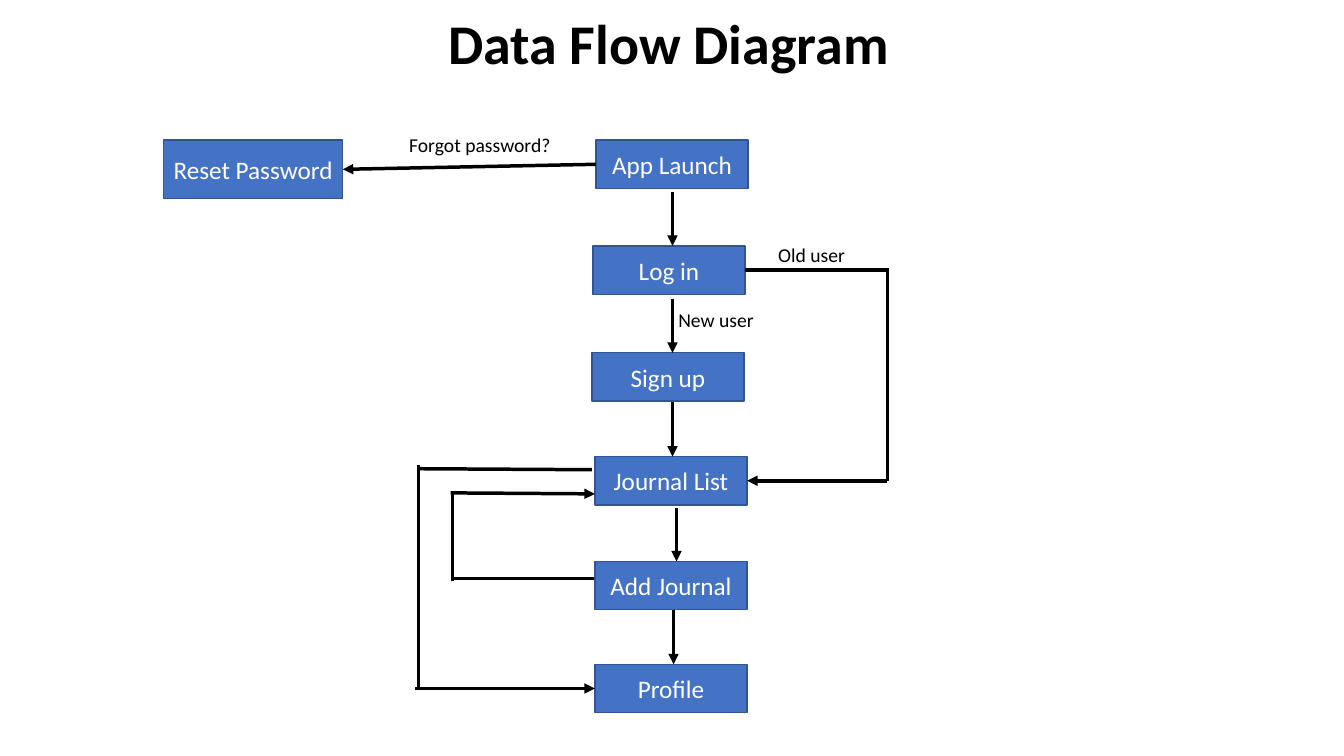
from lxml import etree
from pptx import Presentation
from pptx.dml.color import RGBColor
from pptx.enum.shapes import MSO_CONNECTOR, MSO_SHAPE
from pptx.enum.text import MSO_ANCHOR, MSO_AUTO_SIZE, PP_ALIGN
from pptx.oxml.ns import qn
from pptx.util import Inches, Pt

RECTANGLE = MSO_SHAPE.RECTANGLE
STRAIGHT = MSO_CONNECTOR.STRAIGHT
MIDDLE, TOP = MSO_ANCHOR.MIDDLE, MSO_ANCHOR.TOP
CENTER, LEFT = PP_ALIGN.CENTER, PP_ALIGN.LEFT
FIT_SHAPE = MSO_AUTO_SIZE.SHAPE_TO_FIT_TEXT
LEFT_SIDE, RIGHT_SIDE = 1, 3

FONT = "Calibri"
BLUE, DARK_BLUE, BLACK, WHITE = "4472C4", "325491", "000000", "FFFFFF"
STEP_WIDTH, STEP_HEIGHT = 1.51, 0.48

# name, left, top
STEPS = [
    ("App Launch", 5.91, 1.39),
    ("Log in", 5.88, 2.44),
    ("Sign up", 5.87, 3.5),
    ("Journal List", 5.9, 4.53),
    ("Add Journal", 5.9, 5.57),
    ("Profile", 5.9, 6.59),
]
# x, start y, end y of the arrow between one step and the next
DOWN_ARROWS = [
    (6.67, 1.9, 2.44),
    (6.67, 2.97, 3.5),
    (6.67, 3.99, 4.53),
    (6.71, 5.04, 5.57),
    (6.68, 6.05, 6.59),
]


def color(hex_value):
    return RGBColor.from_string(hex_value)


def write_text(shape, text, size=18, hex_color=BLACK, bold=False, align=LEFT, anchor=TOP):
    frame = shape.text_frame
    frame.vertical_anchor = anchor
    paragraph = frame.paragraphs[0]
    paragraph.alignment = align
    run = paragraph.add_run()
    run.text = text
    run.font.name = FONT
    run.font.size = Pt(size)
    run.font.bold = bold
    run.font.color.rgb = color(hex_color)


def add_box(slide, text, left, top, width=STEP_WIDTH, height=STEP_HEIGHT):
    box = slide.shapes.add_shape(
        RECTANGLE, Inches(left), Inches(top), Inches(width), Inches(height))
    box.shadow.inherit = False
    box.fill.solid()
    box.fill.fore_color.rgb = color(BLUE)
    box.line.color.rgb = color(DARK_BLUE)
    box.line.width = Pt(1)
    box.text_frame.word_wrap = True
    write_text(box, text, hex_color=WHITE, align=CENTER, anchor=MIDDLE)
    return box


def add_label(slide, text, left, top, width, height=0.34, size=14, **text_format):
    label = slide.shapes.add_textbox(
        Inches(left), Inches(top), Inches(width), Inches(height))
    label.text_frame.word_wrap = True
    label.text_frame.auto_size = FIT_SHAPE
    write_text(label, text, size, **text_format)


def add_line(slide, start, end, arrow=False, source=None, target=None):
    """Draw a line; source and target are (box, side) pairs to join."""
    line = slide.shapes.add_connector(STRAIGHT, *map(Inches, start + end))
    line.line.color.rgb = color(BLACK)
    line.line.width = Pt(2.5)
    if source:
        line.begin_connect(*source)
    if target:
        line.end_connect(*target)
    if arrow:
        etree.SubElement(line.line._get_or_add_ln(), qn("a:tailEnd"), type="triangle")
    etree.SubElement(line._element.spPr, qn("a:effectLst"))


def add_main_flow(slide):
    """Place the column of steps and return its boxes by name."""
    boxes = {name: add_box(slide, name, left, top) for name, left, top in STEPS}
    for x, start, end in DOWN_ARROWS:
        add_line(slide, (x, start), (x, end), arrow=True)
    add_label(slide, "New user", 6.63, 3.01, 1.94)
    return boxes


def add_password_branch(slide, app_launch):
    reset = add_box(slide, "Reset Password", 1.62, 1.39, 1.78, 0.58)
    add_line(slide, (5.91, 1.66), (3.4, 1.68), arrow=True,
             source=(app_launch, LEFT_SIDE), target=(reset, RIGHT_SIDE))
    add_label(slide, "Forgot password?", 3.96, 1.27, 1.94)


def add_old_user_branch(slide, log_in, journal_list, x=8.8, top=2.68, bottom=4.77):
    add_line(slide, (7.39, top), (x, top), source=(log_in, RIGHT_SIDE))
    add_line(slide, (x, top - 0.02), (x, bottom))
    add_line(slide, (x, bottom), (7.41, bottom), arrow=True,
             target=(journal_list, RIGHT_SIDE))
    add_label(slide, "Old user", 7.62, 2.36, 1.84)


def add_journal_return(slide, x=4.49, top=4.89, bottom=5.74):
    """Lead from Add Journal back to Journal List."""
    add_line(slide, (x - 0.02, bottom), (5.89, bottom))
    add_line(slide, (x, top), (x, bottom + 0.02))
    add_line(slide, (x - 0.02, top), (5.9, top + 0.01), arrow=True)


def add_profile_branch(slide, profile, x=4.15, top=4.65, bottom=6.83):
    """Lead from Journal List round to Profile."""
    add_line(slide, (x, top - 0.04), (x, bottom))
    add_line(slide, (x - 0.03, bottom), (5.9, bottom), arrow=True,
             target=(profile, LEFT_SIDE))
    add_line(slide, (x, top), (5.87, top + 0.01))


def main():
    presentation = Presentation()
    presentation.slide_width = Inches(13.33)
    presentation.slide_height = Inches(7.5)
    slide = presentation.slides.add_slide(presentation.slide_layouts[6])
    boxes = add_main_flow(slide)
    add_password_branch(slide, boxes["App Launch"])
    add_old_user_branch(slide, boxes["Log in"], boxes["Journal List"])
    add_journal_return(slide)
    add_profile_branch(slide, boxes["Profile"])
    add_label(slide, "Data Flow Diagram", 4.35, 0.03, 7.9, 0.77,
              size=40, bold=True, anchor=MIDDLE)
    presentation.save("out.pptx")


if __name__ == "__main__":
    main()
